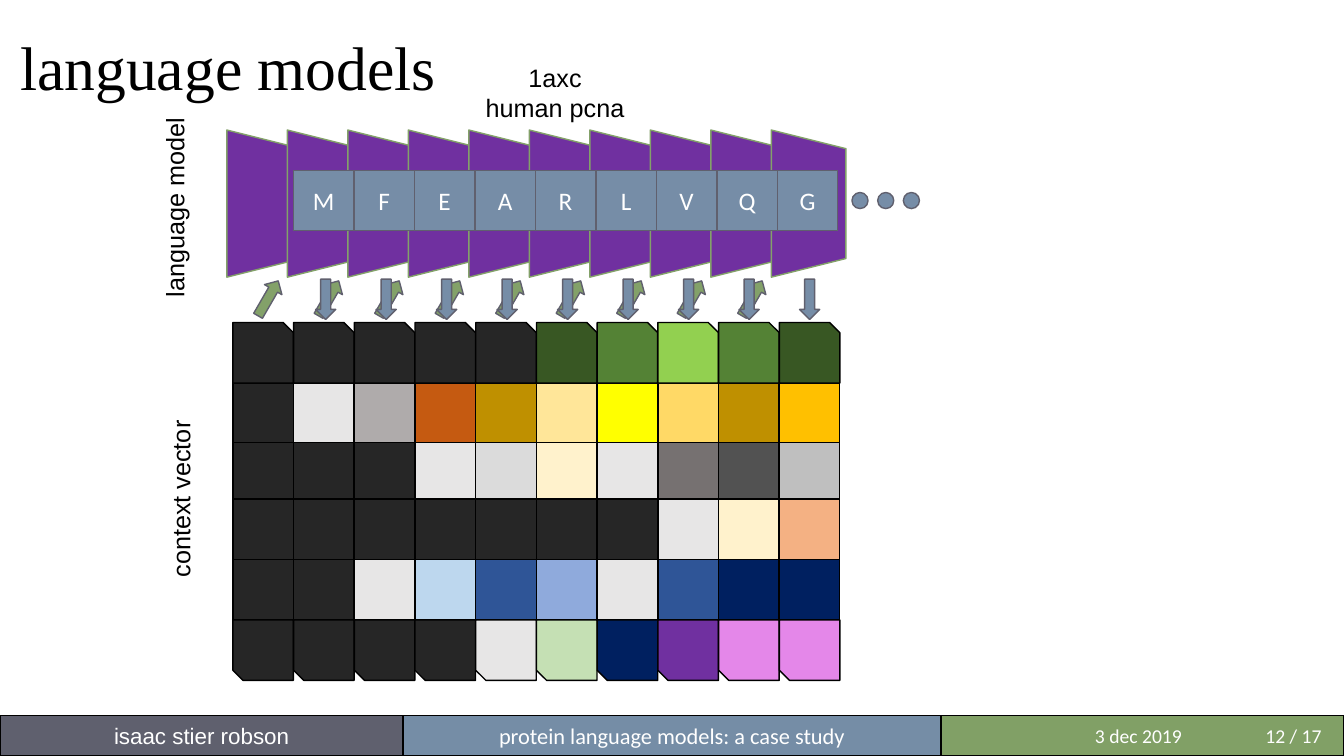
from lxml import etree
from pptx import Presentation
from pptx.dml.color import RGBColor
from pptx.enum.shapes import MSO_SHAPE as SHAPE
from pptx.enum.text import MSO_ANCHOR as ANCHOR, MSO_AUTO_SIZE as AUTO, PP_ALIGN as ALIGN
from pptx.oxml.ns import qn
from pptx.util import Inches, Pt

COLORS = {
    "black": "000000", "white": "FFFFFF", "purple": "7030A0",
    "slate": "768DA7", "outline": "60606E", "green": "83A169",
    "author": "4E4F5F", "talk": "67819D", "date": "588133",
    "dark": "262626", "pale": "E7E6E6", "silver": "DBDBDB",
    "grey": "BFBFBF", "warm grey": "AFABAB", "taupe": "767171",
    "charcoal": "525252", "rust": "C55A11", "ochre": "BF9000",
    "amber": "FFC000", "gold": "FFD966", "sand": "FFE699",
    "cream": "FFF2CC", "yellow": "FFFF00", "peach": "F4B183",
    "navy": "002060", "blue": "2F5597", "periwinkle": "8FAADC",
    "sky": "BDD7EE", "forest": "385723", "moss": "548235",
    "lime": "92D050", "mint": "C5E0B4", "pink": "E487E9",
}
SEQUENCE = "MFEARLVQG"
STEP = 0.6
CONTEXT = [
    ["dark"] * 5 + ["forest", "moss", "lime", "moss", "forest"],
    ["dark", "pale", "warm grey", "rust", "ochre", "sand", "yellow", "gold", "ochre", "amber"],
    ["dark"] * 3 + ["pale", "silver", "cream", "pale", "taupe", "charcoal", "grey"],
    ["dark"] * 7 + ["pale", "cream", "peach"],
    ["dark"] * 2 + ["pale", "sky", "blue", "periwinkle", "pale", "blue", "navy", "navy"],
    ["dark"] * 4 + ["pale", "mint", "navy", "purple", "pink", "pink"],
]
ROW_TOPS = [0, 0.6, 1.19, 1.75, 2.35, 2.95]


def rgb(name):
    return RGBColor.from_string(COLORS[name])


def style_text(tf, text, size, font, color, align=ALIGN.CENTER):
    tf.text = text
    for p in tf.paragraphs:
        p.alignment = align
        p.font.size = Pt(size)
        p.font.name = font
        p.font.color.rgb = rgb(color)


def add_shape(s, kind, x, y, w, h, fill, line="outline", rotation=0):
    sp = s.shapes.add_shape(kind, Inches(x), Inches(y), Inches(w), Inches(h))
    sp.shadow.inherit = False
    sp.fill.solid()
    sp.fill.fore_color.rgb = rgb(fill)
    sp.line.color.rgb = rgb(line)
    sp.line.width = Pt(1)
    sp.rotation = rotation
    return sp


def add_label(s, text, x, y, w, h, rotation=0):
    sp = s.shapes.add_textbox(Inches(x), Inches(y), Inches(w), Inches(h))
    sp.rotation = rotation
    tf = sp.text_frame
    tf.word_wrap = True
    tf.auto_size = AUTO.SHAPE_TO_FIT_TEXT
    style_text(tf, text, 18, "Arial", "black")


def set_title(s, text, x, y, w, h):
    sp = s.shapes.title
    sp.left, sp.top, sp.width, sp.height = map(Inches, (x, y, w, h))
    tf = sp.text_frame
    tf.auto_size = AUTO.NONE
    tf.vertical_anchor = ANCHOR.TOP
    style_text(tf, text, 44, "Times New Roman", "black", ALIGN.LEFT)
    tf.paragraphs[0].line_spacing = 0.9


def add_models(s, x, y, w, h):
    for i in range(len(SEQUENCE) + 1):
        left = x + i * STEP + (w - h) / 2
        add_shape(s, SHAPE.TRAPEZOID, left, y + (h - w) / 2, h, w, "purple", "green", 90)


def add_sequence(s, x, y, size):
    for i, residue in enumerate(SEQUENCE):
        sp = add_shape(s, SHAPE.RECTANGLE, x + i * STEP, y, size, size, "slate")
        sp.text_frame.vertical_anchor = ANCHOR.MIDDLE
        style_text(sp.text_frame, residue, 18, "Calibri", "white")


def add_dots(s, x, y, size):
    for i in range(3):
        add_shape(s, SHAPE.OVAL, x + i * 0.255, y, size, size, "slate")


def add_context(s, x, y, w, cell):
    step = (w - cell) / len(SEQUENCE)
    last = len(CONTEXT) - 1
    for col in range(len(SEQUENCE) + 1):
        for row in (1, 2, 3, 4, 0, last):
            kind = SHAPE.SNIP_1_RECTANGLE if row in (0, last) else SHAPE.RECTANGLE
            add_shape(s, kind, x + col * step, y + ROW_TOPS[row], cell, cell,
                      CONTEXT[row][col], "black", 180 if row == last else 0)


def add_arrows(s, x, y, w, h, fill, rotation):
    for i in range(len(SEQUENCE)):
        add_shape(s, SHAPE.RIGHT_ARROW, x + i * STEP, y, w, h, fill, rotation=rotation)


def add_footer(s, x, y, w, h):
    third = w * 0.3
    parts = [
        (x, third, "author", 90, "isaac stier robson", 16, "Arial"),
        (x + third, w - 2 * third, "talk", 90, "protein language models: a case study", 16, "Calibri"),
        (x + w - third, third, "date", 75, "\t3 dec 2019\t12 / 17", 14, "Calibri"),
    ]
    for left, width, fill, opacity, text, size, font in parts:
        sp = add_shape(s, SHAPE.RECTANGLE, left, y, width, h, fill, "black")
        color = sp.fill._xPr.find(qn("a:solidFill"))[0]
        etree.SubElement(color, qn("a:alpha"), val=str(opacity * 1000))
        tf = sp.text_frame
        tf.vertical_anchor = ANCHOR.MIDDLE
        tabbed = "\t" in text
        style_text(tf, text, size, font, "white", ALIGN.LEFT if tabbed else ALIGN.CENTER)
        if tabbed:
            pPr = tf.paragraphs[0]._p.get_or_add_pPr()
            tabs = etree.Element(qn("a:tabLst"))
            for pos in (1.43, 3.12):
                etree.SubElement(tabs, qn("a:tab"), pos=str(Inches(pos)), algn="l")
            pPr.find(qn("a:defRPr")).addprevious(tabs)


def main():
    prs = Presentation()
    prs.slide_width, prs.slide_height = Inches(13.33), Inches(7.5)
    s = prs.slides.add_slide(prs.slide_layouts[5])
    set_title(s, "language models", 0.1, 0.32, 12.42, 1.45)
    add_models(s, 2.25, 1.29, 0.74, 1.46)
    add_footer(s, 0, 7.1, 13.33, 0.4)
    add_sequence(s, 2.91, 1.69, 0.6)
    add_label(s, "1axc\nhuman pcna", 2.17, 0.57, 6.67, 0.71)
    add_dots(s, 8.45, 1.91, 0.16)
    add_context(s, 2.31, 3.2, 6.02, 0.6)
    add_label(s, "context vector", 0.65, 4.75, 2.28, 0.4, 270)
    add_label(s, "language model", 0.59, 1.86, 2.28, 0.4, 270)
    add_arrows(s, 2.46, 2.86, 0.4, 0.2, "green", 300)
    add_arrows(s, 3.03, 2.87, 0.4, 0.2, "slate", 90)
    prs.save("out.pptx")


if __name__ == "__main__":
    main()
